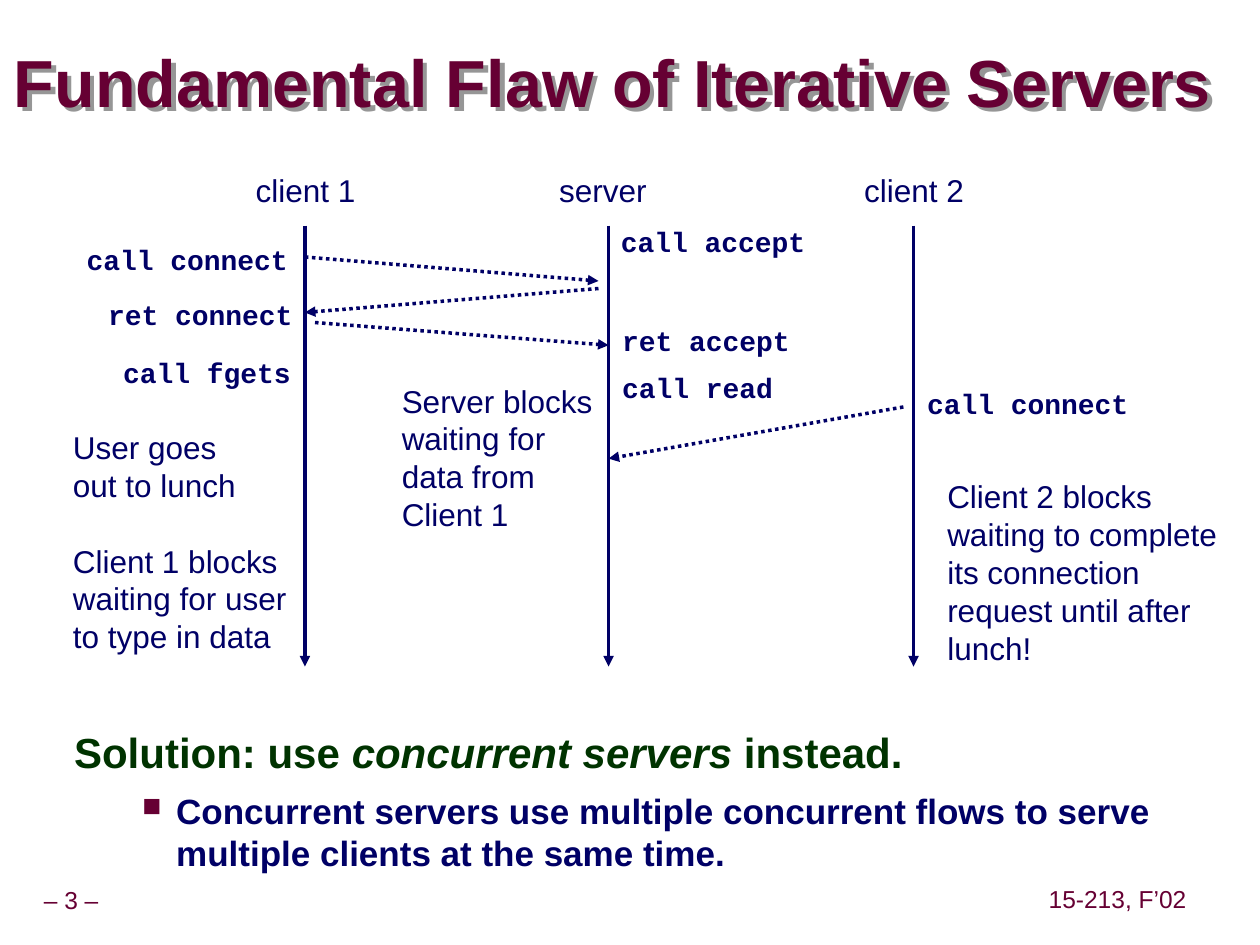
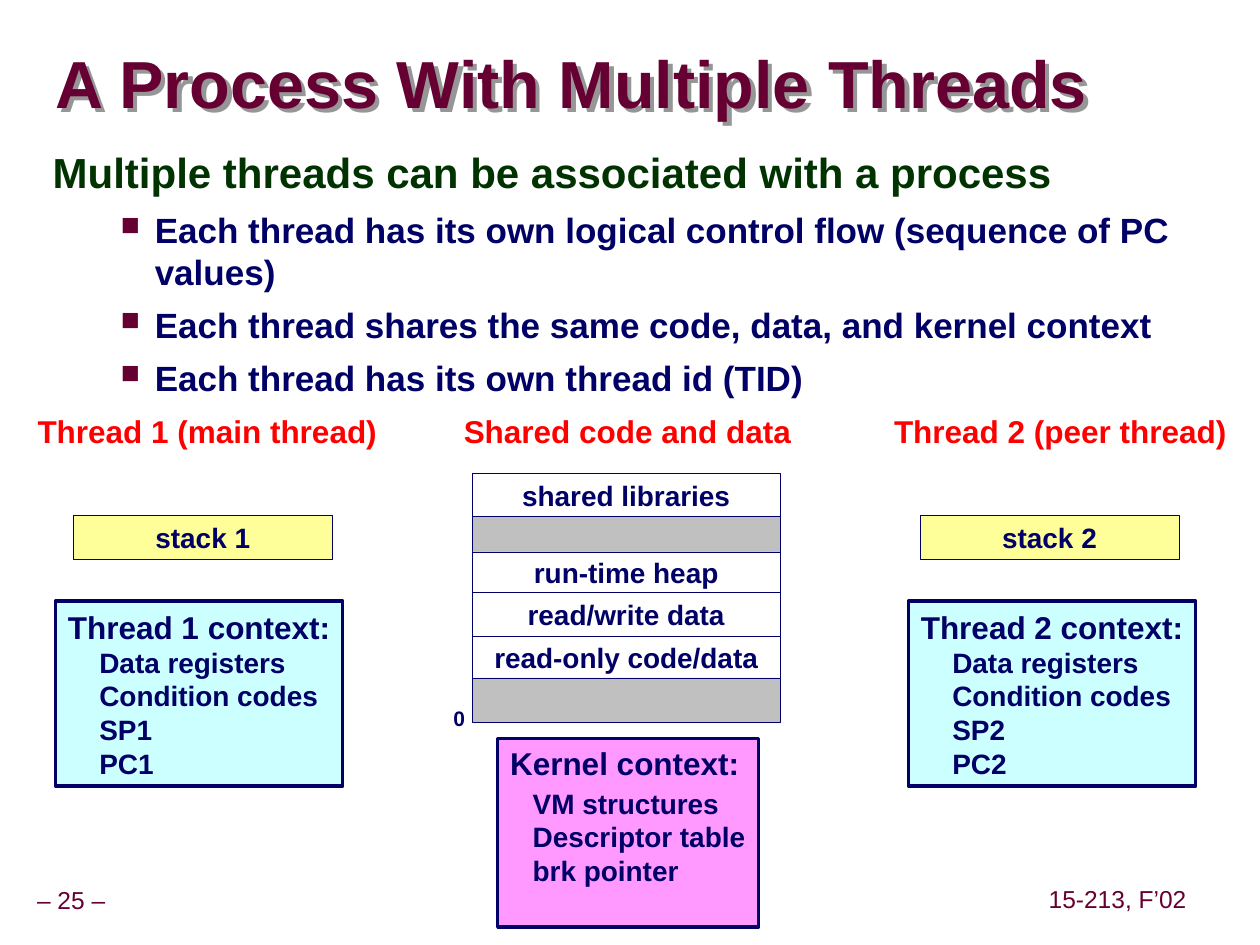
"""Builds two lecture slides: iterative server flaw and multithreaded process."""
from dataclasses import dataclass

from lxml import etree
from pptx import Presentation
from pptx import util as u
from pptx.dml.color import RGBColor
from pptx.enum import dml, shapes, text
from pptx.oxml import ns


@dataclass(frozen=True)
class Theme:
    """Colours, fonts and type sizes shared by the slides."""
    maroon: str = "660033"
    navy: str = "000066"
    green: str = "003300"
    red: str = "FF0000"
    white: str = "FFFFFF"
    gray: str = "C0C0C0"
    shadow: str = "969696"
    yellow: str = "FFFF99"
    cyan: str = "CCFFFF"
    pink: str = "FF99FF"
    sans: str = "Arial"
    mono: str = "Courier New"
    title: int = 38
    heading: int = 24
    bullet: int = 20
    label: int = 18
    detail: int = 16
    footer: int = 14
    small: int = 12


THEME = Theme()
LEFT, CENTER = text.PP_ALIGN.LEFT, text.PP_ALIGN.CENTER
TOP, MIDDLE = text.MSO_ANCHOR.TOP, text.MSO_ANCHOR.MIDDLE
LANES = (2.42, 4.83, 7.25)


def add_element(parent, tag, **attributes):
    """Append a DrawingML element to parent."""
    return etree.SubElement(parent, ns.qn(tag), attributes)


def style(paragraph, size, color=THEME.navy, bold=False, font=THEME.sans):
    """Set the font of a whole paragraph."""
    paragraph.font.size = u.Pt(size)
    paragraph.font.name = font
    paragraph.font.bold = bold
    paragraph.font.color.rgb = RGBColor.from_string(color)


def set_frame(frame, anchor=TOP, wrap=False, inset=(0.1, 0.05)):
    """Set wrapping, anchor and insets of a text frame."""
    frame.word_wrap = wrap
    frame.vertical_anchor = anchor
    frame.margin_left = frame.margin_right = u.Inches(inset[0])
    frame.margin_top = frame.margin_bottom = u.Inches(inset[1])


def fill_paragraphs(frame, lines):
    """Yield one paragraph for each line of text."""
    for index, line in enumerate(lines):
        paragraph = frame.paragraphs[0] if index == 0 else frame.add_paragraph()
        paragraph.text = line
        yield paragraph


def add_text(slide, box, lines, size, color=THEME.navy, bold=False, font=THEME.sans,
             align=LEFT, anchor=TOP, wrap=False, inset=(0.1, 0.05), spacing=None):
    """Add a text box whose lines share one style; unwrapped boxes fit their text."""
    holder = slide.shapes.add_textbox(*map(u.Inches, box))
    set_frame(holder.text_frame, anchor, wrap, inset)
    if not wrap:
        holder.text_frame.auto_size = text.MSO_AUTO_SIZE.SHAPE_TO_FIT_TEXT
    for paragraph in fill_paragraphs(holder.text_frame, lines):
        paragraph.alignment = align
        paragraph.line_spacing = spacing
        style(paragraph, size, color, bold, font)
    return holder


def add_title(slide, box, title):
    """Add the shadowed slide title."""
    holder = add_text(slide, box, [title], THEME.title, THEME.maroon, True,
                      anchor=MIDDLE, wrap=True, inset=(0, 0), spacing=0.87)
    effects = add_element(holder.element.spPr, "a:effectLst")
    shadow = add_element(effects, "a:outerShdw", dist=str(u.Inches(0.05)),
                         dir="2700000", algn="ctr", rotWithShape="0")
    add_element(shadow, "a:srgbClr", val=THEME.shadow)


def add_footer(slide, number):
    """Add the page number and the course label."""
    for box, line in (((-0.09, 7, 1.31, 0.31), f"– {number} –"),
                      ((8.27, 6.99, 1.2, 0.31), "15-213, F’02")):
        add_text(slide, box, [line], THEME.footer, THEME.maroon, align=CENTER,
                 anchor=MIDDLE, inset=(0.05, 0.05), spacing=0.9)


def add_body(slide, box, heading, bullets):
    """Add a heading of (text, italic) runs followed by square bullets."""
    frame = slide.shapes.add_textbox(*map(u.Inches, box)).text_frame
    set_frame(frame, wrap=True)
    first = frame.paragraphs[0]
    first.line_spacing = 0.95
    style(first, THEME.heading, THEME.green, True)
    for words, italic in heading:
        run = first.add_run()
        run.text = words
        if italic:
            run.font.italic = True
    for bullet in bullets:
        paragraph = frame.add_paragraph()
        paragraph.text = bullet
        paragraph.level = 1
        paragraph.space_before = u.Pt(6.2)
        properties = paragraph._p.get_or_add_pPr()
        properties.set("marL", str(u.Inches(0.81)))
        properties.set("indent", str(u.Inches(-0.27)))
        color = add_element(properties, "a:buClr")
        add_element(color, "a:srgbClr", val=THEME.maroon)
        add_element(properties, "a:buSzPct", val="75000")
        add_element(properties, "a:buChar", char="■")
        style(paragraph, THEME.bullet, bold=True)


def add_arrow(slide, start, end, dotted=False):
    """Add a navy arrow between two points."""
    arrow = slide.shapes.add_connector(
        shapes.MSO_CONNECTOR.STRAIGHT, *map(u.Inches, (*start, *end)))
    arrow.line.color.rgb = RGBColor.from_string(THEME.navy)
    arrow.line.width = u.Pt(2)
    if dotted:
        arrow.line.dash_style = dml.MSO_LINE.ROUND_DOT
    add_element(arrow.line._get_or_add_ln(), "a:tailEnd", type="triangle")
    add_element(arrow._element.spPr, "a:effectLst")


def add_call(slide, left, top, call):
    """Add a system call label sized by its fixed-width letters."""
    width = round(0.2 + len(call) * 0.133, 2)
    add_text(slide, (left, top, width, 0.37), [call], THEME.detail,
             bold=True, font=THEME.mono)


def add_box(slide, box, fill, line_width=0.25, label=None):
    """Add an outlined rectangle, with a centred label if given."""
    rect = slide.shapes.add_shape(shapes.MSO_SHAPE.RECTANGLE, *map(u.Inches, box))
    rect.shadow.inherit = False
    rect.fill.solid()
    rect.fill.fore_color.rgb = RGBColor.from_string(fill)
    rect.line.color.rgb = RGBColor.from_string(THEME.navy)
    rect.line.width = u.Pt(line_width)
    set_frame(rect.text_frame, MIDDLE)
    if label:
        paragraph = rect.text_frame.paragraphs[0]
        paragraph.text = label
        paragraph.alignment = CENTER
        style(paragraph, THEME.detail, bold=True)
    return rect


def add_context(slide, box, fill, heading, details, indent):
    """Add a context box with a heading and indented details."""
    frame = add_box(slide, box, fill, 2).text_frame
    for index, paragraph in enumerate(fill_paragraphs(frame, [heading, *details])):
        paragraph.alignment = LEFT
        if index:
            paragraph._p.get_or_add_pPr().set("marL", str(u.Inches(indent)))
        style(paragraph, THEME.detail if index else THEME.label, bold=True)
    return frame


def add_slide(deck, number, title_box, title):
    """Add a blank slide with its footer and title."""
    slide = deck.slides.add_slide(deck.slide_layouts[6])
    add_footer(slide, number)
    add_title(slide, title_box, title)
    return slide


def build_flaw_slide(deck):
    """Build the sequence diagram of two clients and one server."""
    slide = add_slide(deck, 3, (0.11, 0.37, 9.83, 0.63),
                      "Fundamental Flaw of Iterative Servers")
    add_body(slide, (0.49, 5.75, 9.26, 1.26),
             [("Solution: use ", False), ("concurrent servers ", True), ("instead.", False)],
             ["Concurrent servers use multiple concurrent flows to serve "
              "multiple clients at the same time."])
    for lane, role, width in zip(LANES, ("client 1", "server", "client 2"),
                                 (0.99, 0.9, 0.99)):
        add_arrow(slide, (lane, 1.79), (lane, 5.29))
        add_text(slide, (lane - 0.49, 1.31, width, 0.4), [role], THEME.label)

    client1, server, client2 = LANES
    gap = 0.08
    for start, end in (((client1, 2.04), (server - gap, 2.23)),
                       ((server - gap, 2.29), (client1, 2.48)),
                       ((client1 + gap, 2.56), (server, 2.74)),
                       ((client2 - gap, 3.23), (server, 3.64))):
        add_arrow(slide, start, end, dotted=True)

    for left, top, call in ((0.59, 1.88, "call connect"), (0.76, 2.31, "ret connect"),
                            (0.88, 2.77, "call fgets"), (4.83, 1.73, "call accept"),
                            (4.84, 2.52, "ret accept"), (4.84, 2.89, "call read"),
                            (7.26, 3.02, "call connect")):
        add_call(slide, left, top, call)

    lunch = add_text(slide, (0.48, 3.35, 1.9, 1.9),
                     ["User goes", "out to lunch", "Client 1 blocks",
                      "waiting for user", "to type in data"], THEME.label)
    lunch.text_frame.paragraphs[2].space_before = u.Pt(21.6)
    add_text(slide, (7.42, 3.74, 2.34, 1.6),
             ["Client 2 blocks", "waiting to complete", "its connection",
              "request until after", "lunch!"], THEME.label)
    add_text(slide, (3.09, 2.98, 1.72, 1.3),
             ["Server blocks", "waiting for", "data from", "Client 1"], THEME.label)


def build_threads_slide(deck):
    """Build the picture of two threads sharing one process."""
    slide = add_slide(deck, 25, (0.44, 0.27, 9.53, 0.85),
                      "A Process With Multiple Threads")
    add_body(slide, (0.32, 1.14, 9.09, 5.99),
             [("Multiple threads can be associated with a process", False)],
             ["Each thread has its own logical control flow (sequence of PC values)",
              "Each thread shares the same code, data, and kernel context",
              "Each thread has its own thread id (TID)"])

    for left, width, caption in ((0.19, 2.91, "Thread 1 (main thread)"),
                                 (3.55, 2.86, "Shared code and data"),
                                 (6.99, 2.85, "Thread 2 (peer thread)")):
        add_text(slide, (left, 3.22, width, 0.4), [caption], THEME.label, THEME.red,
                 True, align=CENTER, anchor=MIDDLE)

    top = 3.76
    for region, height in (("shared libraries", 0.34), (None, 0.28),
                           ("run-time heap", 0.32), ("read/write data", 0.35),
                           ("read-only code/data", 0.33), (None, 0.35)):
        add_box(slide, (3.75, top, 2.44, height),
                THEME.white if region else THEME.gray, label=region)
        top += height
    add_text(slide, (3.5, 5.55, 0.29, 0.3), ["0"], THEME.small, bold=True)

    for thread, stack_left, context_left in ((1, 0.58, 0.44), (2, 7.3, 7.21)):
        add_box(slide, (stack_left, 4.09, 2.06, 0.35), THEME.yellow,
                label=f"stack {thread}")
        add_context(slide, (context_left, 4.77, 2.28, 1.47), THEME.cyan,
                    f"Thread {thread} context:",
                    ["Data registers", "Condition codes", f"SP{thread}", f"PC{thread}"],
                    0.25)

    kernel = add_context(slide, (3.95, 5.86, 2.07, 1.5), THEME.pink, "Kernel context:",
                         ["VM structures", "Descriptor table", "brk pointer"], 0.18)
    kernel.margin_bottom = u.Inches(0.32)
    kernel.paragraphs[1].space_before = u.Pt(2.4)


def main():
    """Build and save the deck."""
    deck = Presentation()
    deck.slide_width, deck.slide_height = u.Inches(10), u.Inches(7.5)
    build_flaw_slide(deck)
    build_threads_slide(deck)
    deck.save("out.pptx")


if __name__ == "__main__":
    main()
